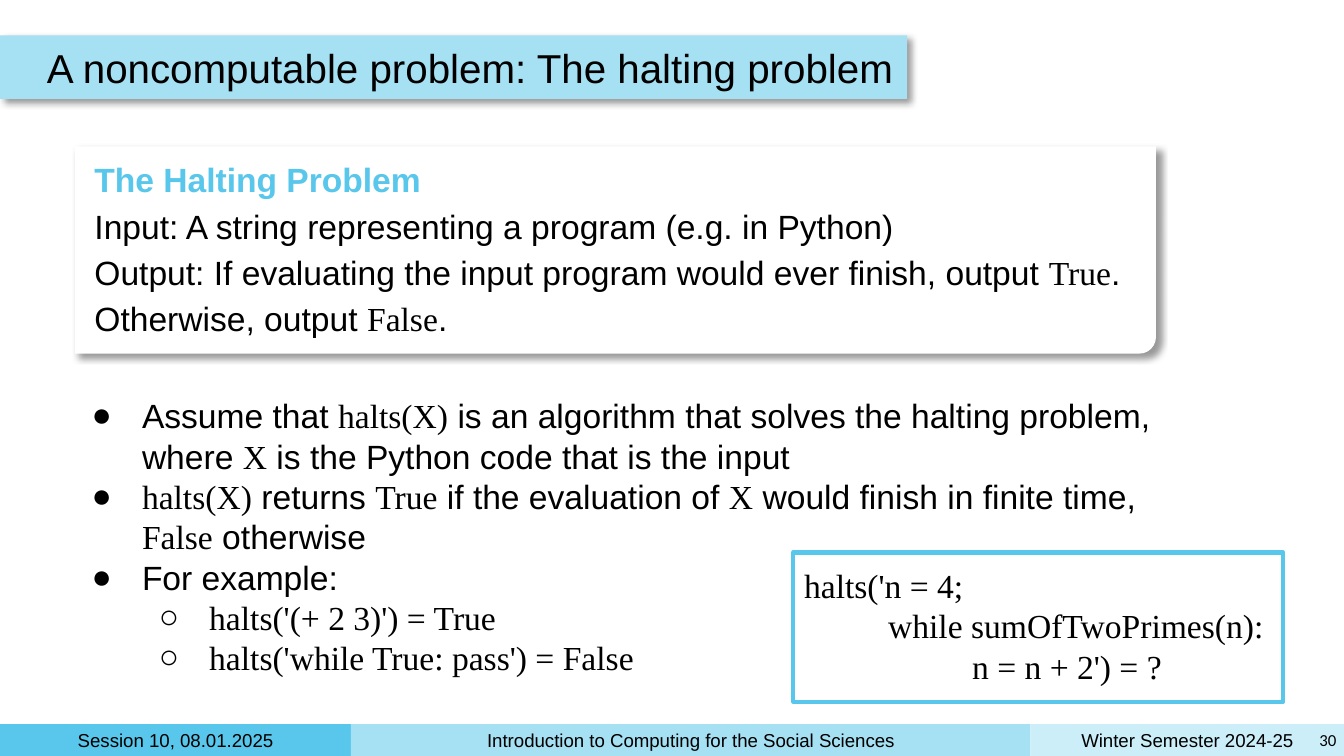
"""Build the slide on the halting problem as a noncomputable problem."""
from lxml.etree import SubElement
from pptx import Presentation
from pptx.dml.color import RGBColor
from pptx.enum.shapes import MSO_SHAPE as Form
from pptx.enum.text import MSO_ANCHOR as Anchor, PP_ALIGN as Align
from pptx.oxml.ns import qn
from pptx.util import Pt

COLORS = {"black": "000000", "white": "FFFFFF", "sky": "59C7EB",
          "light": "A5E0F3", "pale": "CCEEF9"}
BODY, CODE = "Arial", "Times New Roman"

TITLE = "A noncomputable problem: The halting problem"
DEFINITION_HEAD = "The Halting Problem"
DEFINITION = [
    "Input: A string representing a program (e.g. in Python)",
    "Output: If evaluating the input program would ever finish, output `True`.",
    "Otherwise, output `False`.",
]
POINTS = [
    (0, "Assume that `halts(X)` is an algorithm that solves the halting problem,\n"
        "where `X` is the Python code that is the input"),
    (0, "`halts(X)` returns `True` if the evaluation of `X` would finish in finite time,\n"
        "`False` otherwise"),
    (0, "For example:"),
    (1, "`halts('(+ 2 3)') = True`"),
    (1, "`halts('while True: pass') = False`"),
]
PUZZLE = ["`halts('n = 4;`", "`while sumOfTwoPrimes(n):`", "`n = n + 2') = ?`"]
FOOTER = [
    ("Session 10, 08.01.2025", 188, "sky"),
    ("Introduction to Computing for the Social Sciences", 364, "light"),
    ("Winter Semester 2024-25", 168, "pale"),
]
PAGE = "30"
BULLETS = "●○"
WIDTH, HEIGHT, FOOTER_HEIGHT = 720, 405, 17

deck = Presentation()
deck.slide_width, deck.slide_height = Pt(WIDTH), Pt(HEIGHT)
slide = deck.slides.add_slide(deck.slide_layouts[6])


def color(name):
    return RGBColor.from_string(COLORS[name])


def panel(form, left, top, width, height, fill=None, outline=None, shadow=False):
    shape = slide.shapes.add_shape(form, Pt(left), Pt(top), Pt(width), Pt(height))
    shape.shadow.inherit = False
    if fill:
        shape.fill.solid()
        shape.fill.fore_color.rgb = color(fill)
    else:
        shape.fill.background()
    if outline:
        shape.line.color.rgb = color(outline)
        shape.line.width = Pt(2.25)
    else:
        shape.line.fill.background()
    if shadow:
        effects = shape._element.spPr.find(qn("a:effectLst"))
        outer = SubElement(effects, qn("a:outerShdw"), blurRad=str(Pt(4)),
                           dist=str(Pt(3)), dir="2700000", rotWithShape="0")
        tint = SubElement(outer, qn("a:srgbClr"), val=COLORS["black"])
        SubElement(tint, qn("a:alpha"), val="40000")
    return shape


def frame_of(shape, margin=3.6, anchor=Anchor.TOP, wrap=True):
    frame = shape.text_frame
    frame.word_wrap = wrap
    frame.vertical_anchor = anchor
    frame.margin_left = frame.margin_right = Pt(margin)
    frame.margin_top = frame.margin_bottom = Pt(margin)
    return frame


def text_box(left, top, width, height, **layout):
    box = slide.shapes.add_textbox(Pt(left), Pt(top), Pt(width), Pt(height))
    return frame_of(box, **layout)


def write(frame, text, size=18, font=BODY, ink="black", bold=False,
          align=Align.LEFT, spacing=None, indent=0, hanging=0, bullet=None):
    first = frame.paragraphs[0]
    paragraph = first if not first.runs else frame.add_paragraph()
    paragraph.alignment = align
    if spacing:
        paragraph.line_spacing = spacing
    props = paragraph._p.get_or_add_pPr()
    props.set("marL", str(Pt(indent)))
    props.set("indent", str(Pt(-hanging)))
    if bullet:
        SubElement(props, qn("a:buFont"), typeface=BODY)
        SubElement(props, qn("a:buChar"), char=bullet)
    for row, line in enumerate(text.split("\n")):
        if row:
            paragraph.add_line_break()
        for part, words in enumerate(line.split("`")):
            if words:
                run = paragraph.add_run()
                run.text = words
                run.font.name = CODE if part % 2 else font
                run.font.size = Pt(size)
                run.font.bold = bold
                run.font.color.rgb = color(ink)


left = 0
for label, width, fill in FOOTER:
    band = panel(Form.RECTANGLE, left, HEIGHT - FOOTER_HEIGHT, width, FOOTER_HEIGHT, fill)
    write(frame_of(band, anchor=Anchor.MIDDLE), label, size=10, align=Align.CENTER)
    left += width
page = text_box(702, 387.5, 17.5, 18, anchor=Anchor.MIDDLE, wrap=False)
write(page, PAGE, size=9, font="Calibri", align=Align.RIGHT)

panel(Form.RECTANGLE, 0, 19, 486, 34, "light", shadow=True)
write(text_box(21.6, 19, 626, 34, anchor=Anchor.MIDDLE), TITLE, size=21.6)

points = text_box(33, 204.5, 663, 167, margin=7.2)
for level, point in POINTS:
    write(points, point, indent=36 * (level + 1), hanging=27, bullet=BULLETS[level])

card = panel(Form.ROUND_1_RECTANGLE, 40.3, 78.5, 579, 111, "white", shadow=True)
card.adjustments[0] = 0.08
card._element.spPr.xfrm.set("flipV", "1")
definition = text_box(47, 78.5, 630, 104.5)
write(definition, DEFINITION_HEAD, ink="sky", bold=True, spacing=1.15)
for sentence in DEFINITION:
    write(definition, sentence, spacing=1.15)

puzzle = text_box(423.7, 295.5, 284, 80, margin=7.2)
for depth, code in enumerate(PUZZLE):
    write(puzzle, code, indent=45 * depth)
panel(Form.RECTANGLE, 425, 296, 262.5, 80, outline="sky")

deck.save("out.pptx")
